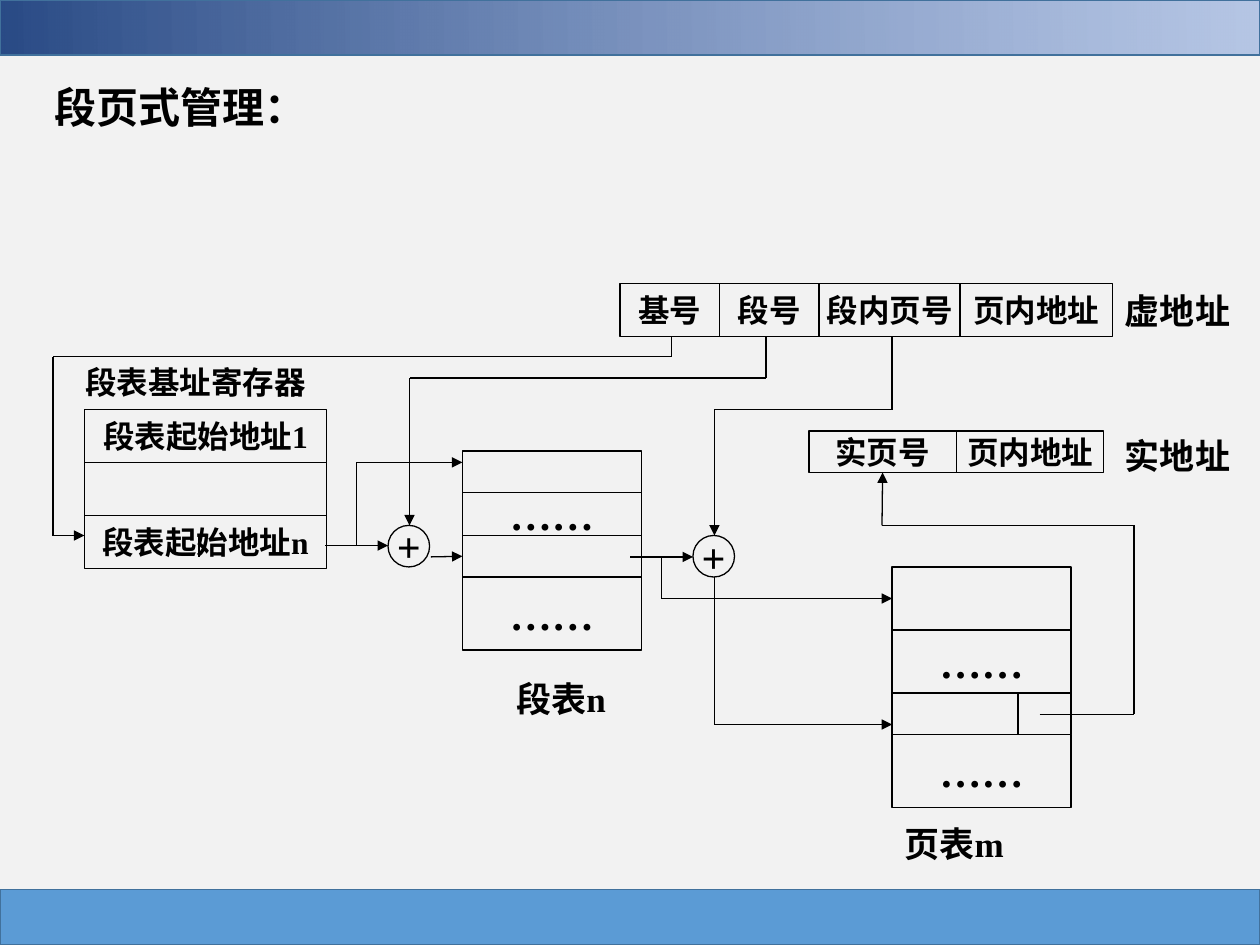
from itertools import pairwise
from pptx import Presentation
from pptx.dml.color import RGBColor
from pptx.enum.shapes import MSO_CONNECTOR as Link, MSO_SHAPE as Shape
from pptx.enum.text import MSO_ANCHOR as Anchor, MSO_AUTO_SIZE as Fit, PP_ALIGN as Align
from pptx.oxml.ns import qn
from pptx.util import Inches, Pt

LEFT, BOTTOM = 1, 2
LABEL_HEIGHT = 0.44
LABEL = {"size": 20}
CELL = {"size": 18}
SYMBOL = {"size": 24}
FONT = {"name": "Times New Roman", "bold": True}
CELL_FRAME = {"word_wrap": False, "vertical_anchor": Anchor.MIDDLE}
LABEL_FRAME = {"word_wrap": True, "vertical_anchor": Anchor.TOP, "auto_size": Fit.SHAPE_TO_FIT_TEXT}


def color(value):
    """Turn a hex string into a colour."""
    return RGBColor.from_string(value)


def apply(target, formats):
    """Set each format value on the target."""
    for name, value in formats.items():
        setattr(target, name, value)


def write(shape, text, font, frame, align):
    """Put one formatted paragraph into a shape."""
    apply(shape.text_frame, frame)
    paragraph = shape.text_frame.paragraphs[0]
    paragraph.text = text
    paragraph.alignment = align
    apply(paragraph.font, FONT | {"size": Pt(font["size"])})
    paragraph.font.color.rgb = color("000000")


def add_outline(slide, kind, box, line="000000", width=0.75):
    """Add an unfilled preset shape."""
    shape = slide.shapes.add_shape(kind, *map(Inches, box))
    shape.shadow.inherit = False
    shape.fill.background()
    shape.line.color.rgb = color(line)
    shape.line.width = Pt(width)
    return shape


def add_cell(slide, box, text="", font=CELL, kind=Shape.RECTANGLE):
    """Add a diagram cell with optional centred text."""
    cell = add_outline(slide, kind, box)
    if text:
        write(cell, text, font, CELL_FRAME, Align.CENTER)
    return cell


def add_label(slide, box, text, font=LABEL):
    """Add a left-aligned caption."""
    label = slide.shapes.add_textbox(*map(Inches, box))
    write(label, text, font, LABEL_FRAME, Align.LEFT)


def add_bands(slide, width, height, depth):
    """Add the gradient band at the top and the plain band at the bottom."""
    bottom, top = [
        add_outline(slide, Shape.RECTANGLE, (0, y, width, depth), "41719C", 1)
        for y in (height - depth, 0)
    ]
    bottom.fill.solid()
    bottom.fill.fore_color.rgb = color("5B9BD5")
    top.fill.gradient()
    top.fill.gradient_angle = 1
    for stop, shade in zip(top.fill.gradient_stops, ("2A4B86", "8FAADC")):
        stop.color.rgb = color(shade)
    light = list(top._element.spPr.iter(qn("a:srgbClr")))[1]
    light.makeelement(qn("a:alpha"), {"val": "61000"})
    alpha = light.makeelement(qn("a:alpha"), {"val": "61000"})
    light.append(alpha)


def add_title(slide, box, text):
    """Move and format the title placeholder."""
    title = slide.shapes.title
    places = zip(("left", "top", "width", "height"), map(Inches, box))
    apply(title, dict(places))
    write(title, text, SYMBOL, LABEL_FRAME, Align.LEFT)


def add_address(slide, box, fields, name, name_top):
    """Add an address as a row of (text, width) fields, and its name."""
    left, top, height = box
    cells = []
    for text, width in fields:
        cells.append(add_cell(slide, (left, top, width, height), text))
        left += width
    add_label(slide, (8.83, name_top, 1.25, LABEL_HEIGHT), name)
    return cells


def add_stack(slide, box, rows, font):
    """Add a column of (text, height, widths) rows, split where widths are given."""
    left, top, width = box
    stack = []
    for text, height, *widths in rows:
        x = left
        for part in widths or [width]:
            stack.append(add_cell(slide, (x, top, part, height), text, font))
            x += part
        top += height
    return stack


def add_registers(slide, box):
    """Add the segment table base registers."""
    left, top, width = box
    add_wire(slide, [(1.58, 4.25), (1.58, 4.42)], arrow=False)
    rows = [("段表起始地址1", 0.42), ("", 0.42), ("段表起始地址n", 0.42)]
    add_stack(slide, box, rows, CELL)
    add_label(slide, (left - 0.09, top - 0.42, 2.08, 0.4), "段表基址寄存器", CELL)


def add_segment_table(slide, box):
    """Add the segment table and its caption."""
    left, top, width = box
    rows = [("", 0.33), ("……", 0.34), ("", 0.33), ("……", 0.58)]
    stack = add_stack(slide, box, rows, SYMBOL)
    add_label(slide, (left + 0.33, top + 1.75, 1.33, LABEL_HEIGHT), "段表n")
    return stack


def add_page_table(slide, box):
    """Add the page table and its caption."""
    left, top, width = box
    rows = [("", 0.5), ("……", 0.5), ("", 0.33, 1, 0.42), ("……", 0.58)]
    stack = add_stack(slide, box, rows, SYMBOL)
    add_label(slide, (left, top + 1.98, 1.33, LABEL_HEIGHT), "页表m")
    return stack


def add_wire(slide, points, joined=None, arrow=True):
    """Draw straight connectors through the points, with an arrowhead at the end."""
    for start, end in pairwise(points):
        ends = map(Inches, start + end)
        wire = slide.shapes.add_connector(Link.STRAIGHT, *ends)
        wire.line.color.rgb = color("000000")
        wire.line.width = Pt(0.75)
        properties = wire._element.spPr
        properties.append(properties.makeelement(qn("a:effectLst"), {}))
    if joined:
        wire.end_connect(*joined)
    if arrow:
        line = wire.line._get_or_add_ln()
        line.append(line.makeelement(qn("a:tailEnd"), {"type": "triangle"}))


def add_wires(slide, segments, pages, frame):
    """Wire the addresses, tables and adders together."""
    add_wire(slide, [(5.33, 2.67), (5.33, 2.83), (0.42, 2.83), (0.42, 4.25), (0.67, 4.25)])
    add_wire(slide, [(6.08, 2.67), (6.08, 3), (3.25, 3), (3.25, 4.17)])
    add_wire(slide, [(7.08, 2.67), (7.08, 3.25), (5.67, 3.25), (5.67, 4.25)])
    add_wire(slide, [(2.58, 4.33), (3.08, 4.33)])
    add_wire(slide, [(2.83, 4.33), (2.83, 3.67), (3.67, 3.67)])
    add_wire(slide, [(3.42, 4.42), (3.67, 4.42)], (segments[2], LEFT))
    add_wire(slide, [(5, 4.42), (5.5, 4.42)])
    add_wire(slide, [(5.25, 4.42), (5.25, 4.75), (7.08, 4.75)], (pages[0], LEFT))
    add_wire(slide, [(5.67, 4.58), (5.67, 5.75), (7.08, 5.75)])
    add_wire(slide, [(8.25, 5.67), (9, 5.67), (9, 4.17), (7, 4.17), (7, 3.75)], (frame, BOTTOM))


def main():
    """Build the segmented paging slide."""
    deck = Presentation()
    deck.slide_width, deck.slide_height = Inches(10), Inches(7.5)
    slide = deck.slides.add_slide(deck.slide_layouts[5])
    slide.background.fill.solid()
    slide.background.fill.fore_color.rgb = color("F2F2F2")
    add_bands(slide, 10, 7.5, 0.44)
    add_title(slide, (0.33, 0.6, 2.33, 0.5), "段页式管理：")
    virtual = [("基号", 0.79), ("段号", 0.79), ("段内页号", 1.12), ("页内地址", 1.21)]
    add_address(slide, (4.92, 2.25, 0.42), virtual, "虚地址", 2.25)
    real = [("实页号", 1.17), ("页内地址", 1.17)]
    frame = add_address(slide, (6.42, 3.42, 0.33), real, "实地址", 3.4)[0]
    add_registers(slide, (0.67, 3.25, 1.92))
    segments = add_segment_table(slide, (3.67, 3.58, 1.42))
    pages = add_page_table(slide, (7.08, 4.5, 1.42))
    for left, top in ((3.08, 4.17), (5.5, 4.25)):
        add_cell(slide, (left, top, 0.33, 0.33), "+", SYMBOL, Shape.OVAL)
    add_wires(slide, segments, pages, frame)
    deck.save("out.pptx")


if __name__ == "__main__":
    main()
